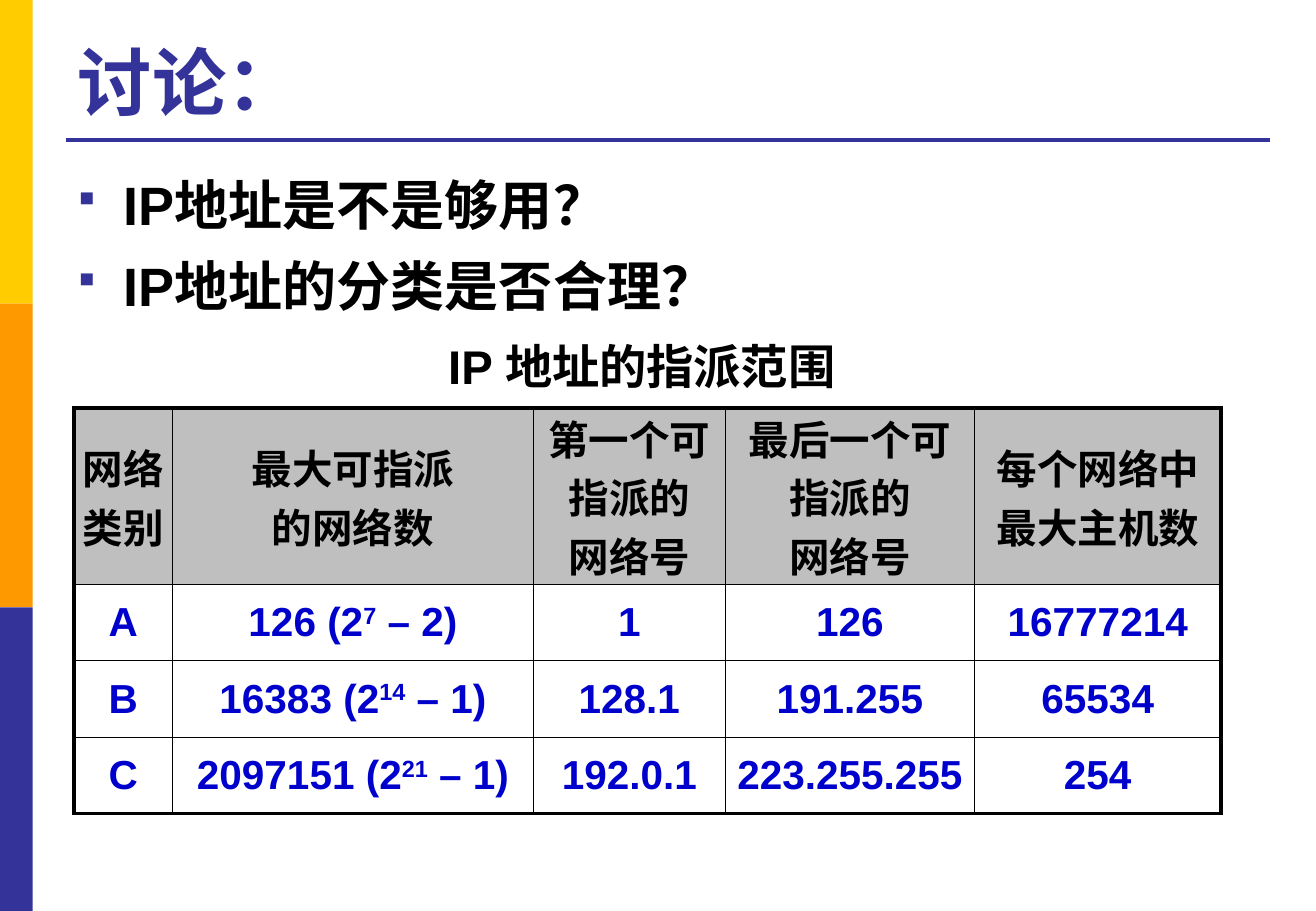
import pptx
import pptx.dml.color
import pptx.enum.shapes
import pptx.enum.text
import pptx.oxml
import pptx.oxml.ns
import pptx.util
from pptx.util import Inches

NAVY, BLACK, BLUE, GREY = "333399", "000000", "0000CC", "BFBFBF"
COLUMN_WIDTHS = [0.81, 2.97, 1.58, 2.05, 2.03]
ROW_HEIGHTS = [1.45, 0.63, 0.63, 0.63]
HEADERS = [
    ["网络", "类别"],
    ["最大可指派", "的网络数"],
    ["第一个可指派的", "网络号"],
    ["最后一个可指派的", "网络号"],
    ["每个网络中", "最大主机数"],
]
NETWORK_CLASSES = [
    ["A", ("126 (2", "7", " – 2)"), "1", "126", "16777214"],
    ["B", ("16383 (2", "14", " – 1)"), "128.1", "191.255", "65534"],
    ["C", ("2097151 (2", "21", " – 1)"), "192.0.1", "223.255.255", "254"],
]


def rgb(color):
    """Return the colour for a hex string."""
    return pptx.dml.color.RGBColor.from_string(color)


def add_xml(parent, tag, content="", attributes=""):
    """Append a DrawingML element to the parent."""
    namespace = pptx.oxml.ns.nsdecls("a")
    parent.append(pptx.oxml.parse_xml(f"<a:{tag} {namespace} {attributes}>{content}</a:{tag}>"))


def add_run(paragraph, text, size, color, raised=False):
    """Add one bold run, raised when it is an exponent."""
    run = paragraph.add_run()
    run.text = text
    run.font.name = "Arial"
    run.font.size = pptx.util.Pt(size)
    run.font.bold = True
    run.font.color.rgb = rgb(color)
    if raised:
        run.font._element.set("baseline", "30000")


def add_side_bands(slide, left, top, width, height):
    """Stack three equal colour bands in the box."""
    colors = ["FFCC00", "FF9900", NAVY]
    band_height = height / len(colors)
    for index, color in enumerate(colors):
        band = slide.shapes.add_shape(
            pptx.enum.shapes.MSO_SHAPE.RECTANGLE,
            Inches(left), Inches(top + index * band_height), Inches(width), Inches(band_height))
        band.shadow.inherit = False
        band.fill.solid()
        band.fill.fore_color.rgb = rgb(color)
        band.line.fill.background()


def add_heading(slide, left, top, width, height):
    """Place the title in the box with a rule below it."""
    title = slide.shapes.title
    title.left, title.top = Inches(left), Inches(top)
    title.width, title.height = Inches(width), Inches(height)
    frame = title.text_frame
    frame.auto_size = pptx.enum.text.MSO_AUTO_SIZE.NONE
    frame.vertical_anchor = pptx.enum.text.MSO_ANCHOR.BOTTOM
    frame.paragraphs[0].alignment = pptx.enum.text.PP_ALIGN.LEFT
    add_run(frame.paragraphs[0], "讨论：", 44, NAVY)

    rule_top = Inches(top + height + 0.07)
    rule = slide.shapes.add_connector(
        pptx.enum.shapes.MSO_CONNECTOR.STRAIGHT,
        Inches(left), rule_top, Inches(left + width), rule_top)
    rule.line.color.rgb = rgb(NAVY)
    rule.line.width = pptx.util.Pt(2.25)
    add_xml(rule._element.spPr, "effectLst")


def add_text_box(slide, left, top, width, height):
    """Add a wrapping text box and return its frame."""
    box = slide.shapes.add_textbox(Inches(left), Inches(top), Inches(width), Inches(height))
    box.text_frame.word_wrap = True
    return box.text_frame


def add_questions(slide, left, top, width, height):
    """Write the questions as a bulleted list."""
    frame = add_text_box(slide, left, top, width, height)
    for index, question in enumerate(["IP地址是不是够用？", "IP地址的分类是否合理？"]):
        paragraph = frame.add_paragraph() if index else frame.paragraphs[0]
        paragraph.line_spacing = 1.1
        paragraph.space_before = pptx.util.Pt(6)
        properties = paragraph._p.get_or_add_pPr()
        properties.set("marL", str(Inches(0.38)))
        properties.set("indent", str(Inches(-0.38)))
        add_xml(properties, "buClr", f'<a:srgbClr val="{NAVY}"/>')
        add_xml(properties, "buSzPct", attributes='val="75000"')
        add_xml(properties, "buFont", attributes='typeface="Wingdings" charset="2"')
        add_xml(properties, "buChar", attributes='char="§"')
        add_run(paragraph, question, 32, BLACK)


def add_caption(slide, left, top, width, height):
    """Centre the table caption in the box."""
    paragraph = add_text_box(slide, left, top, width, height).paragraphs[0]
    paragraph.alignment = pptx.enum.text.PP_ALIGN.CENTER
    add_run(paragraph, "IP 地址的指派范围 ", 28, BLACK)


def format_cell(cell, lines, color, fill, thick_sides):
    """Write centred lines in a cell and draw its borders and fill."""
    cell.margin_left = cell.margin_right = Inches(0.07)
    cell.margin_top = cell.margin_bottom = 0
    cell.vertical_anchor = pptx.enum.text.MSO_ANCHOR.MIDDLE
    for index, line in enumerate(lines):
        frame = cell.text_frame
        paragraph = frame.add_paragraph() if index else frame.paragraphs[0]
        paragraph.alignment = pptx.enum.text.PP_ALIGN.CENTER
        parts = [line] if isinstance(line, str) else line
        for position, part in enumerate(parts):
            add_run(paragraph, part, 24, color, raised=position == 1)
    properties = cell._tc.get_or_add_tcPr()
    for side in "LRTB":
        width = pptx.util.Pt(2.25 if side in thick_sides else 1)
        add_xml(properties, f"ln{side}",
                f'<a:solidFill><a:srgbClr val="{BLACK}"/></a:solidFill>', f'w="{width}"')
    if fill:
        cell.fill.solid()
        cell.fill.fore_color.rgb = rgb(fill)
    else:
        cell.fill.background()


def add_range_table(slide, left, top, width, height):
    """Build the table of network classes with a thick outer frame."""
    rows = [HEADERS] + [[[value] for value in values] for values in NETWORK_CLASSES]
    last_row, last_column = len(rows) - 1, len(COLUMN_WIDTHS) - 1
    table = slide.shapes.add_table(
        len(rows), len(COLUMN_WIDTHS),
        Inches(left), Inches(top), Inches(width), Inches(height)).table
    table.first_row = table.horz_banding = False
    for column, column_width in zip(table.columns, COLUMN_WIDTHS):
        column.width = Inches(column_width)
    for row, row_height in zip(table.rows, ROW_HEIGHTS):
        row.height = Inches(row_height)
    for row_index, row in enumerate(rows):
        color, fill = (BLUE, None) if row_index else (BLACK, GREY)
        for column_index, lines in enumerate(row):
            edges = {"L": column_index == 0, "R": column_index == last_column,
                     "T": row_index == 0, "B": row_index == last_row}
            thick_sides = [side for side, is_outer in edges.items() if is_outer]
            format_cell(table.cell(row_index, column_index), lines, color, fill, thick_sides)


def main():
    """Build and save the discussion slide."""
    presentation = pptx.Presentation()
    presentation.slide_width, presentation.slide_height = Inches(10.83), Inches(7.5)
    slide = presentation.slides.add_slide(presentation.slide_layouts[5])
    add_side_bands(slide, 0, 0, 0.27, 7.5)
    add_heading(slide, 0.54, 0.21, 9.91, 0.87)
    add_questions(slide, 0.54, 1.31, 9.91, 1.4)
    add_range_table(slide, 0.61, 3.36, sum(COLUMN_WIDTHS), sum(ROW_HEIGHTS))
    add_caption(slide, 3.37, 2.73, 3.91, 0.57)
    presentation.save("out.pptx")


if __name__ == "__main__":
    main()
